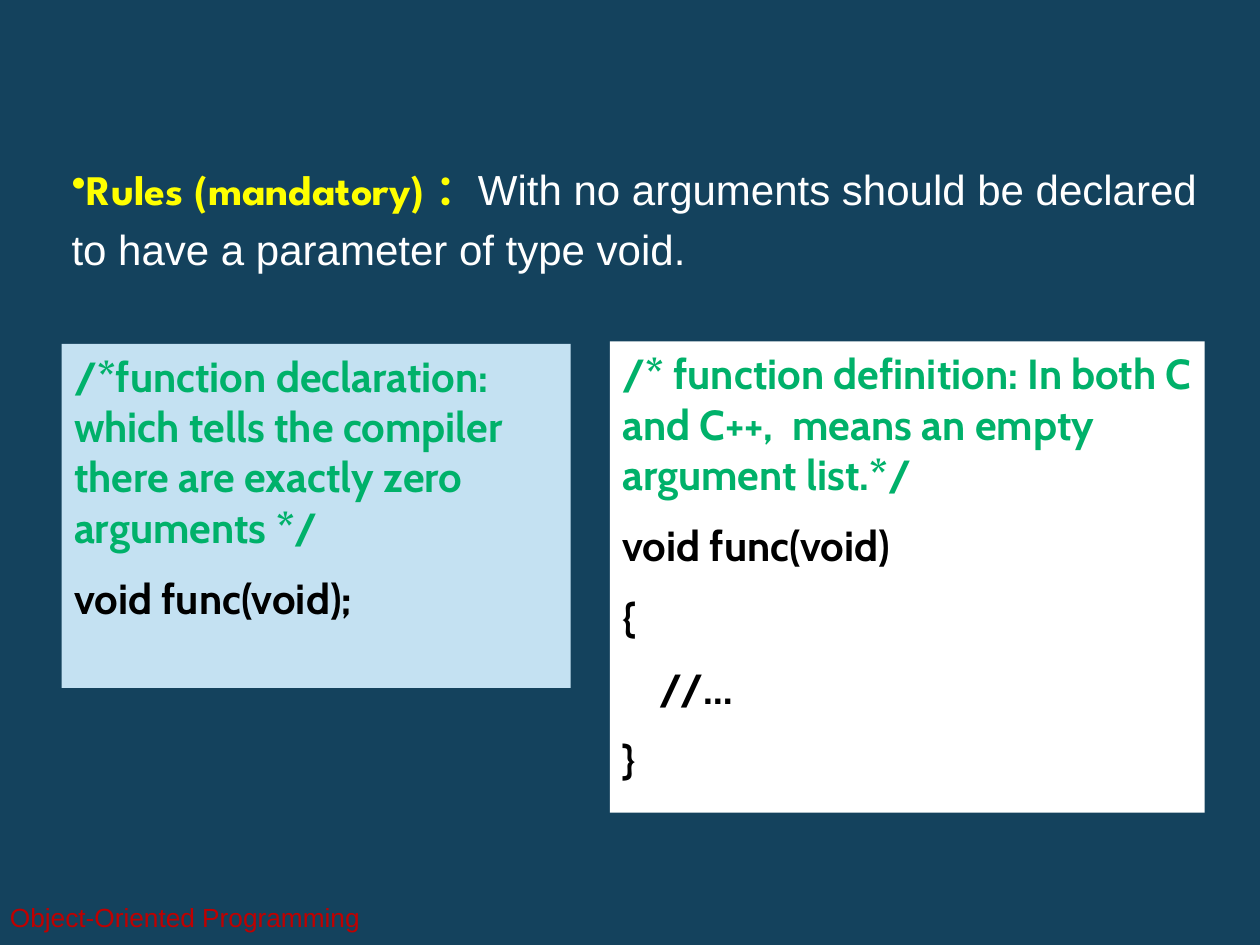
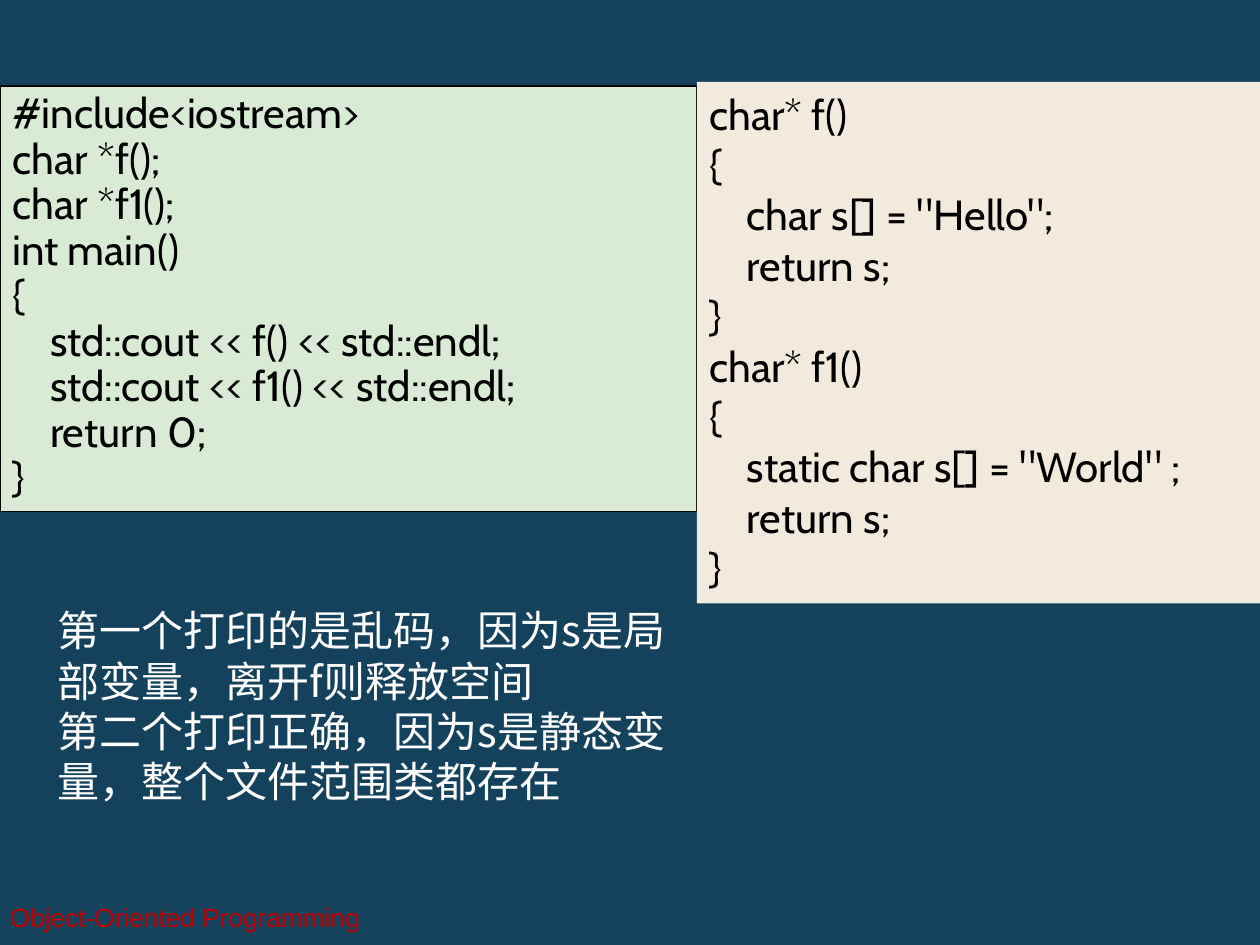
import pptx
import pptx.dml.color
import pptx.enum.text
import pptx.util
from pptx.oxml import parse_xml
from pptx.oxml.ns import nsdecls, qn

RGB = pptx.dml.color.RGBColor
NAVY = RGB(0x14, 0x42, 0x5D)
CRIMSON = RGB(0xC0, 0x00, 0x00)
YELLOW = RGB(0xFF, 0xFF, 0x00)
WHITE = RGB(0xFF, 0xFF, 0xFF)
BLACK = RGB(0x00, 0x00, 0x00)
COMMENT_GREEN = RGB(0x00, 0xB1, 0x6A)
SKY = RGB(0xC4, 0xE1, 0xF2)
MINT = RGB(0xD9, 0xEA, 0xD5)
CREAM = RGB(0xF3, 0xEA, 0xDE)

WIDTH = pptx.util.Inches(10)
HEIGHT = pptx.util.Inches(7.5)
COLUMN = WIDTH / 100
ROW = HEIGHT / 75

CJK_FONT = "Noto Sans CJK SC"
FOOTER = {"name": "Arial", "size": pptx.util.Pt(15), "color": CRIMSON}
RULE = {"name": "League Spartan", "size": pptx.util.Pt(24), "bold": True, "color": YELLOW}
BODY = {"name": "Arial", "size": pptx.util.Pt(24), "color": WHITE}
CODE = {"name": "Cabin", "size": pptx.util.Pt(24), "color": BLACK}
BOLD_CODE = CODE | {"bold": True}
COMMENT = BOLD_CODE | {"color": COMMENT_GREEN}
CHINESE = BODY | {"name": CJK_FONT}

MAIN_CODE = """#include<iostream>
char *f();
char *f1();
int main()
{
    std::cout << f() << std::endl;
    std::cout << f1() << std::endl;
    return 0;
}"""
LOCAL_CODE = """char* f()
{
    char s[] = "Hello";
    return s;
}"""
STATIC_CODE = """char* f1()
{
    static char s[] = "World" ;
    return s;
}"""
EXPLANATION = """第一个打印的是乱码，因为s是局部变量，离开f则释放空间
第二个打印正确，因为s是静态变量，整个文件范围类都存在"""


def place(left, top, width, height):
    return [round(n) for n in (left * COLUMN, top * ROW, width * COLUMN, height * ROW)]


def style_font(font, style):
    for key, value in style.items():
        if key == "color":
            font.color.rgb = value
        else:
            setattr(font, key, value)


def write_run(paragraph, text, style):
    for number, line in enumerate(text.split("\n")):
        if number:
            paragraph.add_line_break()
        run = paragraph.add_run()
        run.text = line
        style_font(run.font, style)
        properties = run.font._element
        properties.find(qn("a:latin")).addnext(
            parse_xml(f'<a:ea {nsdecls("a")} typeface="{CJK_FONT}"/>'))


def write_paragraphs(frame, paragraphs, gap=0, leading=None):
    frame.word_wrap = True
    frame.vertical_anchor = pptx.enum.text.MSO_ANCHOR.TOP
    for number, runs in enumerate(paragraphs):
        paragraph = frame.add_paragraph() if number else frame.paragraphs[0]
        paragraph.alignment = pptx.enum.text.PP_ALIGN.LEFT
        if number and gap:
            paragraph.space_before = pptx.util.Pt(gap)
        if leading:
            paragraph.line_spacing = pptx.util.Pt(leading)
        for text, style in runs:
            write_run(paragraph, text, style)


def add_text(slide, area, paragraphs, **spacing):
    frame = slide.shapes.add_textbox(*place(*area)).text_frame
    write_paragraphs(frame, paragraphs, **spacing)
    return frame


def add_code_panel(slide, area, fill, paragraphs, outline=None, **spacing):
    panel = slide.shapes.add_shape(pptx.enum.shapes.MSO_SHAPE.RECTANGLE, *place(*area))
    panel.shadow.inherit = False
    panel.fill.solid()
    panel.fill.fore_color.rgb = fill
    if outline is None:
        panel.line.fill.background()
    else:
        panel.line.color.rgb = outline
        panel.line.width = pptx.util.Pt(1)
    write_paragraphs(panel.text_frame, paragraphs, **spacing)


def add_bullet(paragraph):
    properties = paragraph._p.get_or_add_pPr()
    properties.set("marL", "0")
    properties.set("indent", "0")
    properties.append(parse_xml(f'<a:buChar {nsdecls("a")} char="•"/>'))


def add_course_slide(deck):
    slide = deck.slides.add_slide(deck.slide_layouts[6])
    footer = add_text(slide, (-0.2, 70.8, 40.1, 4), [[("Object-Oriented Programming", FOOTER)]])
    footer.vertical_anchor = pptx.enum.text.MSO_ANCHOR.MIDDLE
    return slide


def add_void_rule_slide(deck):
    slide = add_course_slide(deck)
    rule = add_text(slide, (4.7, 11.7, 93.3, 15.3), [[
        ("Rules (mandatory) ：", RULE),
        ("With no arguments should be declared to have a parameter of type void.", BODY),
    ]], leading=34.4)
    add_bullet(rule.paragraphs[0])
    add_code_panel(slide, (4.9, 27.3, 40.4, 27.3), SKY, [
        [("/*function declaration: which tells the compiler there are exactly zero arguments */",
          COMMENT)],
        [("void func(void);", BOLD_CODE)],
    ], gap=12)
    definition = ["void func(void)", "{", "    //…", "}"]
    add_code_panel(slide, (48.4, 27.1, 47.2, 37.4), WHITE, [
        [("/* function definition: In both C and C++,  means an empty argument list.*/", COMMENT)],
        *[[(line, BOLD_CODE)] for line in definition],
    ], gap=12)


def add_static_variable_slide(deck):
    slide = add_course_slide(deck)
    add_code_panel(slide, (0, 6.8, 55.3, 33.8), MINT, [[(MAIN_CODE, CODE)]],
                   outline=BLACK, leading=26)
    add_code_panel(slide, (55.3, 6.5, 45.9, 41.4), CREAM,
                   [[(LOCAL_CODE, CODE)], [(STATIC_CODE, CODE)]])
    add_text(slide, (3.6, 47.5, 53.5, 17.2), [[(EXPLANATION, CHINESE)]])


def main():
    deck = pptx.Presentation()
    deck.slide_width = WIDTH
    deck.slide_height = HEIGHT
    backdrop = deck.slide_master.background.fill
    backdrop.solid()
    backdrop.fore_color.rgb = NAVY
    add_void_rule_slide(deck)
    add_static_variable_slide(deck)
    deck.save("out.pptx")


if __name__ == "__main__":
    main()
